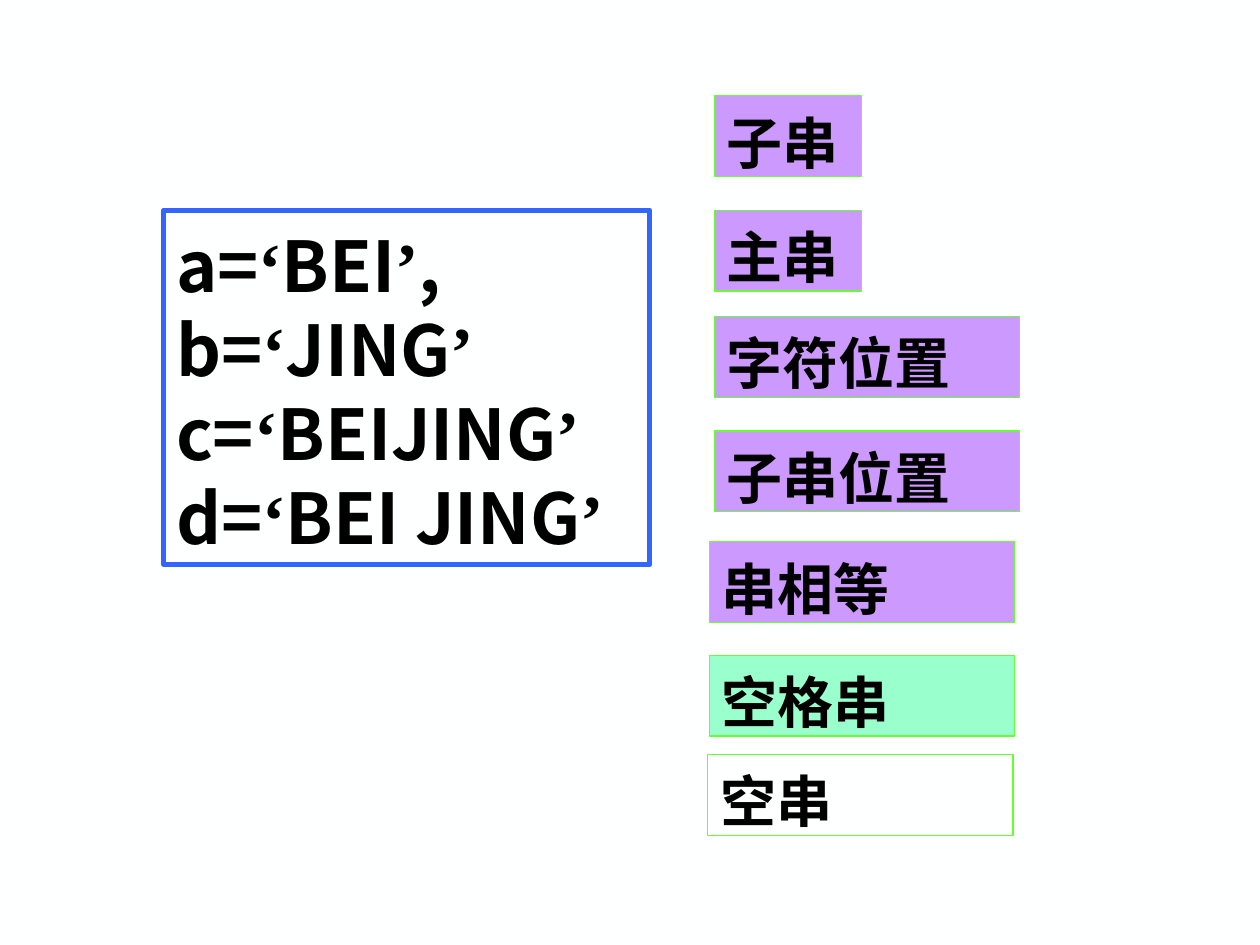
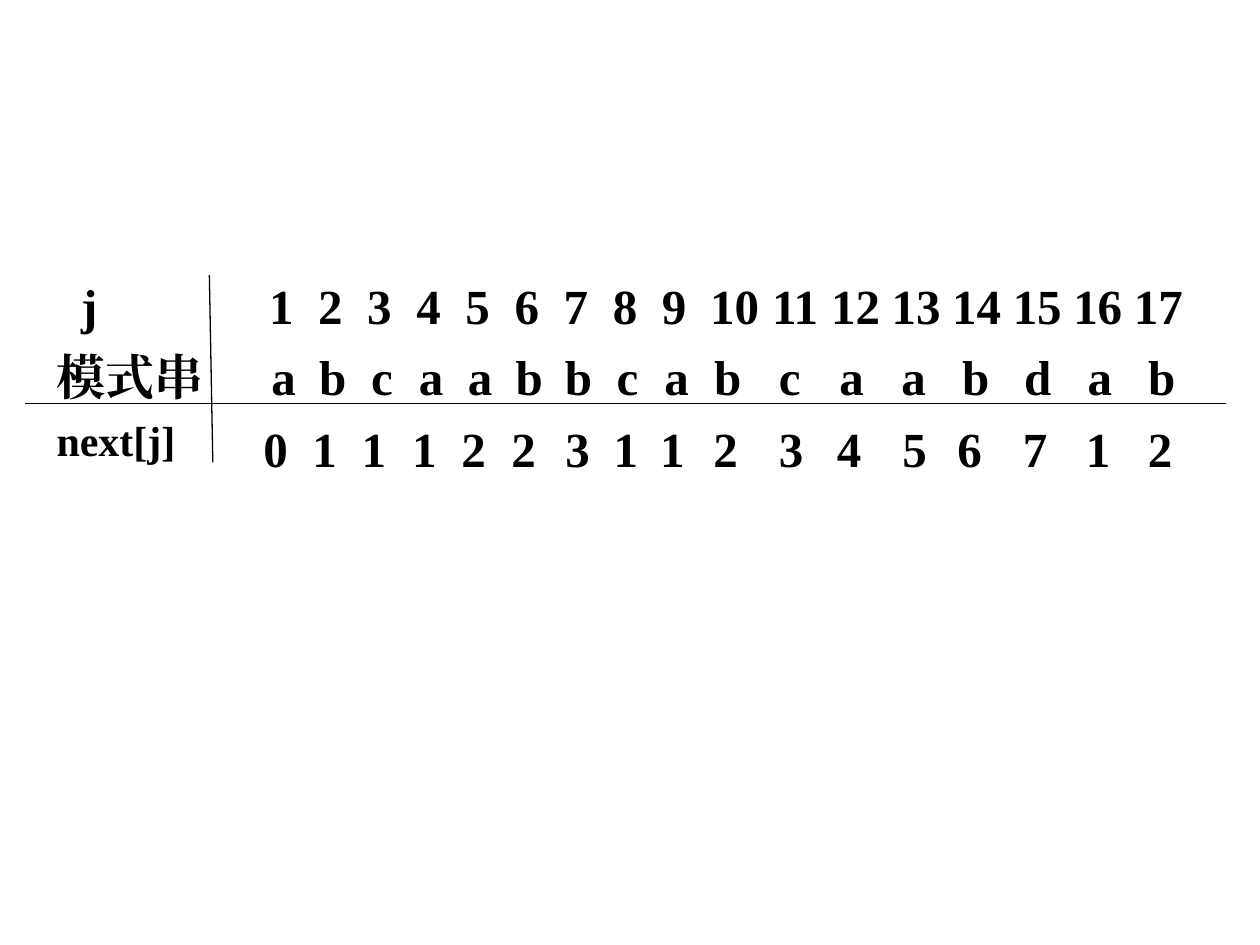
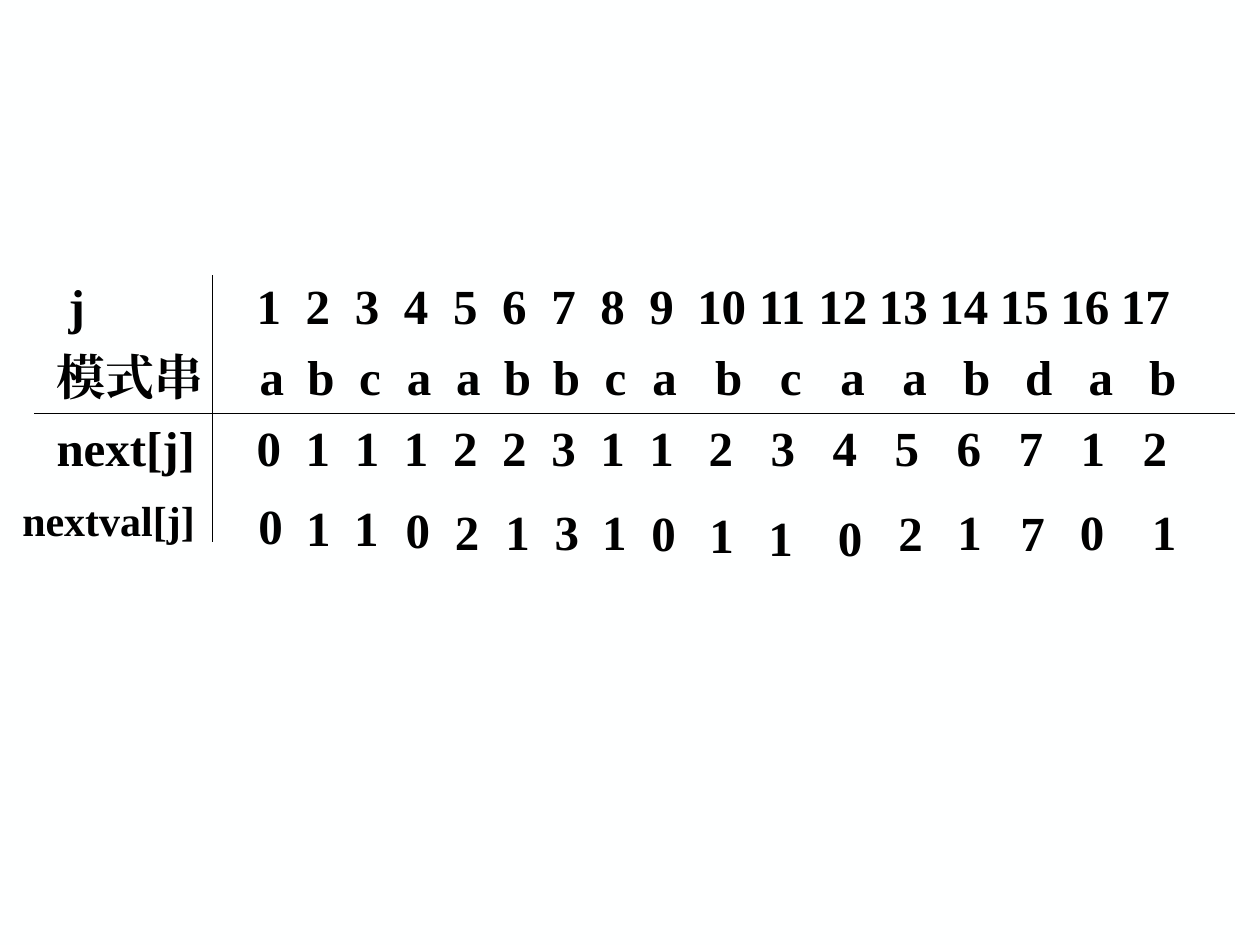
from dataclasses import dataclass
from lxml.etree import SubElement
from pptx import Presentation
from pptx.dml.color import RGBColor
from pptx.enum.shapes import MSO_CONNECTOR, MSO_SHAPE
from pptx.enum.text import MSO_ANCHOR, PP_ALIGN
from pptx.oxml.ns import qn
from pptx.util import Cm, Pt


@dataclass(frozen=True)
class Theme:
    background: str = "FEFFFF"
    ink: str = "000000"
    blue: str = "3366FF"
    green: str = "66FF33"
    purple: str = "CC99FF"
    mint: str = "99FFCC"
    sans: str = "Noto Sans CJK SC"
    serif: str = "Times New Roman"
    string_size: int = 40
    term_size: int = 32
    row_size: int = 28
    label_size: int = 24
    thick: float = 3
    thin: float = 0.75
    term_leading: float = 1.2
    row_gap: int = 7


THEME = Theme()

STRINGS = ["a=‘BEI’,", "b=‘JING’", "c=‘BEIJING’", "d=‘BEI JING’"]
STRINGS_BOX = (3.3, 4.24, 9.8, 7.14)

TERM_HEIGHT = 1.63
TERMS = [
    ("子串", 14.4, 1.93, 2.97, THEME.purple),
    ("主串", 14.4, 4.24, 2.97, THEME.purple),
    ("字符位置", 14.4, 6.38, 6.15, THEME.purple),
    ("子串位置", 14.4, 8.69, 6.15, THEME.purple),
    ("串相等", 14.3, 10.92, 6.15, THEME.purple),
    ("空格串", 14.3, 13.21, 6.15, THEME.mint),
    ("空串", 14.27, 15.21, 6.15, None),
]

POSITIONS = [str(number) for number in range(1, 18)]
PATTERN = list("abcaabbcabcaabdab")
NEXT = list("01112231123456712")
NEXTVAL = list("01102131011021701")

NARROW_COLUMNS = 9
NARROW_STEP = 0.99
DIGIT_SIZE = (0.48, 1.19)

TABLES = [
    {
        "rows_box": (0.89, 5.33, 23.6, 3),
        "rows": [
            ("j", 0.66, POSITIONS, 4.53, 13.67, 1.22),
            ("模式串", None, PATTERN, 4.58, 13.53, 1.25),
        ],
        "label": ("next[j]", (0.89, 8.13, 2.92, 1.27)),
        "digits": NEXT,
        "lefts": [5.31, 6.3, 7.29, 8.31, 9.3, 10.31, 11.4, 12.37, 13.31,
                  14.38, 15.7, 16.87, 18.19, 19.3, 20.62, 21.89, 23.14],
        "tops": [8.33] * 17,
        "rules": [(0.51, 8.13, 24.71, 8.13), (4.29, 9.32, 4.22, 5.54)],
    },
    {
        "rows_box": (0.89, 5.33, 23.39, 4.6),
        "rows": [
            ("j", 0.41, POSITIONS, 4.28, 13.41, 1.22),
            ("模式串", None, PATTERN, 4.34, 13.55, 1.25),
            ("next[j]", None, NEXT, 4.28, 13.39, 1.25),
        ],
        "label": ("nextval[j]", (0.2, 9.73, 3.99, 1.27)),
        "digits": NEXTVAL,
        "lefts": [5.21, 6.17, 7.14, 8.18, 9.17, 10.19, 11.18, 12.14, 13.13,
                  14.3, 15.49, 16.89, 18.11, 19.3, 20.57, 21.77, 23.22],
        "tops": [9.88, 9.93, 9.93, 9.96, 10.01, 10.01, 10.01, 10.01, 10.03,
                 10.08, 10.13, 10.13, 10.03, 10.01, 10.03, 10.01, 10.01],
        "rules": [(0.69, 8.33, 24.89, 8.33), (4.29, 10.92, 4.29, 5.54)],
    },
]


def rgb(colour):
    return RGBColor.from_string(colour)


def set_font(paragraph, name, size):
    paragraph.alignment = PP_ALIGN.LEFT
    font = paragraph.font
    font.name, font.size, font.bold = name, Pt(size), True
    font.color.rgb = rgb(THEME.ink)
    defaults = paragraph._p.pPr.find(qn("a:defRPr"))
    SubElement(defaults, qn("a:ea")).set("typeface", name)


def set_frame(frame, side, top, wrap):
    frame.word_wrap = wrap
    frame.vertical_anchor = MSO_ANCHOR.TOP
    frame.margin_left = frame.margin_right = Cm(side)
    frame.margin_top, frame.margin_bottom = Cm(top), 0


def paragraphs(frame, count):
    return [frame.paragraphs[0]] + [frame.add_paragraph() for _ in range(count - 1)]


def add_runs(paragraph, text):
    for part in text.replace("‘", "|‘|").replace("’", "|’|").split("|"):
        if part:
            run = paragraph.add_run()
            run.text = part
            if part in "‘’":
                run.font.name = THEME.serif


def add_box(slide, bounds, lines, size, fill, outline, weight):
    box = slide.shapes.add_shape(MSO_SHAPE.RECTANGLE, *map(Cm, bounds))
    box.shadow.inherit = False
    if fill:
        box.fill.solid()
        box.fill.fore_color.rgb = rgb(fill)
    else:
        box.fill.background()
    box.line.color.rgb = rgb(outline)
    box.line.width = Pt(weight)
    set_frame(box.text_frame, 0.25, 0.25, True)
    for paragraph, text in zip(paragraphs(box.text_frame, len(lines)), lines):
        paragraph.line_spacing = Pt(size * THEME.term_leading)
        set_font(paragraph, THEME.sans, size)
        add_runs(paragraph, text)


def add_label(slide, bounds, text, size, side, top):
    frame = slide.shapes.add_textbox(*map(Cm, bounds)).text_frame
    set_frame(frame, side, top, False)
    paragraph = frame.paragraphs[0]
    set_font(paragraph, THEME.serif, size)
    paragraph.add_run().text = text


def column_centres(first, first_wide, wide_step, count):
    narrow = [first + NARROW_STEP * i for i in range(NARROW_COLUMNS)]
    return narrow + [first_wide + wide_step * i for i in range(count - NARROW_COLUMNS)]


def add_rows(slide, bounds, rows):
    frame = slide.shapes.add_textbox(*map(Cm, bounds)).text_frame
    set_frame(frame, 0.25, 0.23, True)
    for index, paragraph in enumerate(paragraphs(frame, len(rows))):
        heading, heading_centre, values, first, first_wide, wide_step = rows[index]
        stops = column_centres(first, first_wide, wide_step, len(values))
        cells = [heading, *values]
        if heading_centre:
            stops.insert(0, heading_centre)
            cells.insert(0, "")
        if index:
            paragraph.space_before = Pt(THEME.row_gap)
        tabs = SubElement(paragraph._p.get_or_add_pPr(), qn("a:tabLst"))
        for stop in stops:
            SubElement(tabs, qn("a:tab"), pos=str(Cm(stop)), algn="ctr")
        set_font(paragraph, THEME.serif, THEME.row_size)
        paragraph.add_run().text = "\t".join(cells)


def add_rule(slide, ends):
    rule = slide.shapes.add_connector(MSO_CONNECTOR.STRAIGHT, *map(Cm, ends))
    rule.line.color.rgb = rgb(THEME.ink)
    rule.line.width = Pt(THEME.thin)
    SubElement(rule._element.spPr, qn("a:effectLst"))


def build_terms(slide):
    add_box(slide, STRINGS_BOX, STRINGS, THEME.string_size, None, THEME.blue, THEME.thick)
    for term, left, top, width, fill in TERMS:
        add_box(slide, (left, top, width, TERM_HEIGHT), [term],
                THEME.term_size, fill, THEME.green, THEME.thin)


def build_table(slide, table):
    add_rows(slide, table["rows_box"], table["rows"])
    label, bounds = table["label"]
    add_label(slide, bounds, label, THEME.label_size, 0.25, 0.23)
    for ends in table["rules"]:
        add_rule(slide, ends)
    for digit, left, top in zip(table["digits"], table["lefts"], table["tops"]):
        add_label(slide, (left, top, *DIGIT_SIZE), digit, THEME.row_size, 0, 0.1)


def main():
    deck = Presentation()
    deck.slide_width, deck.slide_height = Cm(25.4), Cm(19.05)
    background = deck.slide_master.background.fill
    background.solid()
    background.fore_color.rgb = rgb(THEME.background)
    blank = deck.slide_layouts[6]
    build_terms(deck.slides.add_slide(blank))
    for table in TABLES:
        build_table(deck.slides.add_slide(blank), table)
    deck.save("out.pptx")


if __name__ == "__main__":
    main()
